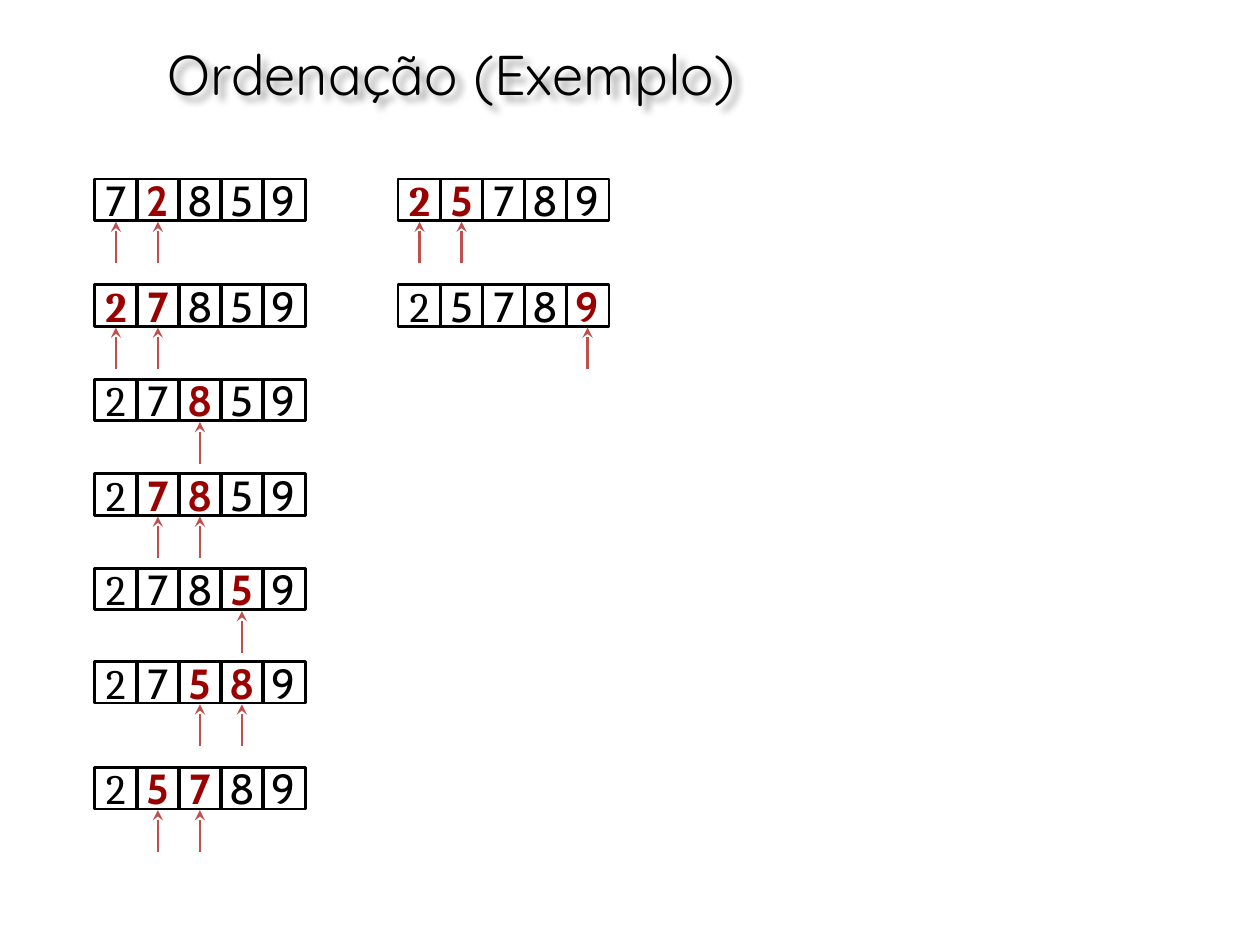
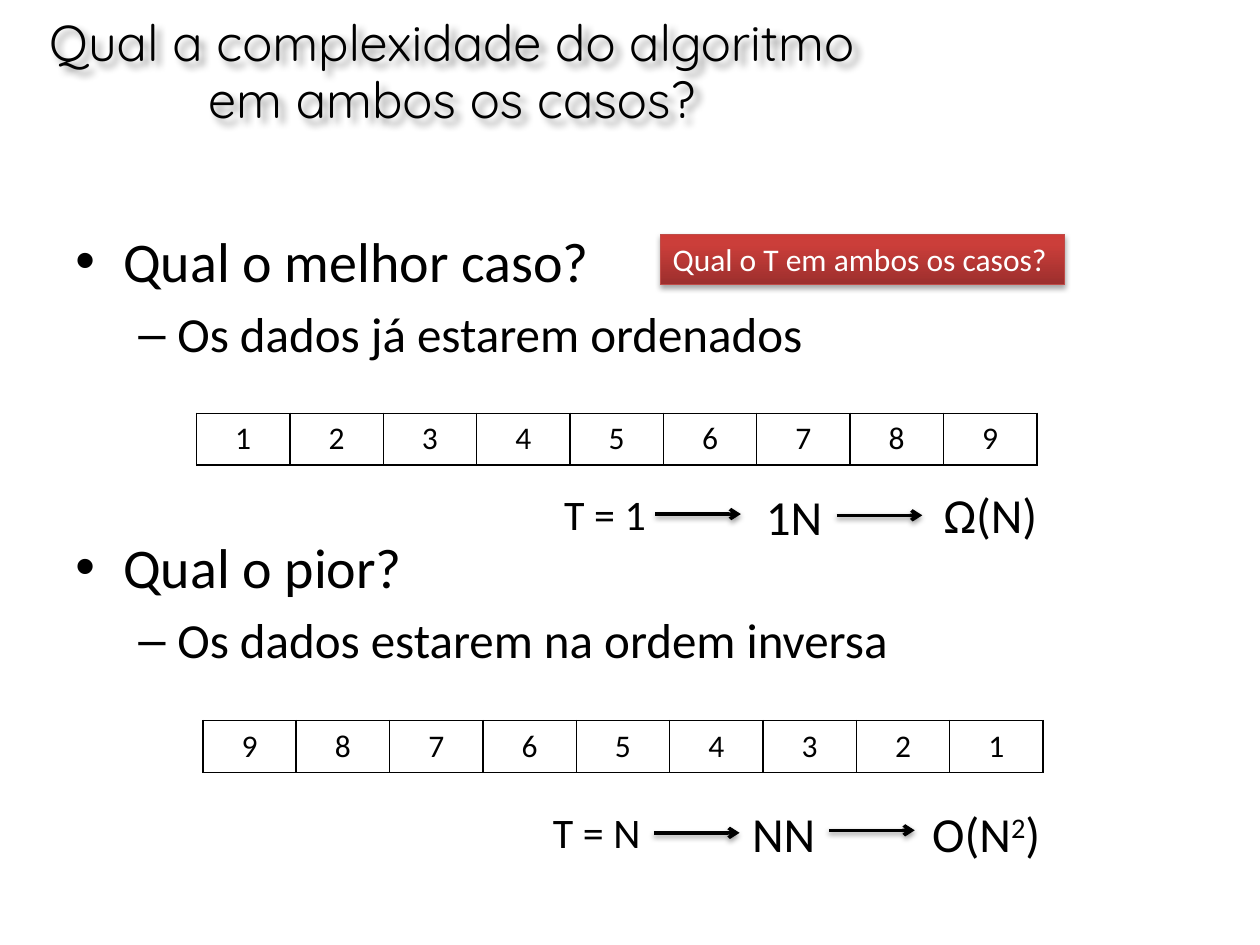
from dataclasses import dataclass

from lxml.etree import SubElement
from pptx import Presentation
from pptx.dml.color import RGBColor
from pptx.enum.shapes import MSO_CONNECTOR, MSO_SHAPE
from pptx.enum.text import MSO_ANCHOR, MSO_AUTO_SIZE, PP_ALIGN
from pptx.oxml.ns import qn
from pptx.util import Inches, Pt


@dataclass(frozen=True)
class Theme:
    ink: str = "000000"
    paper: str = "FFFFFF"
    highlight: str = "990000"
    pointer: str = "C0504D"
    callout_edge: str = "BF4C48"
    callout_stops: tuple = ((0, "9C2F2D"), (80, "CB3E3A"), (100, "CE3B37"))
    title_font: str = "Quicksand"
    body_font: str = "Calibri"
    cell_font: str = "Cabin"
    lead_font: str = "Cambria"
    title: float = 32
    long_title: float = 28.8
    bullet: float = 32
    sub_bullet: float = 28
    result: float = 28
    label: float = 24
    small: float = 18
    # Shadows: opacity %, blur pt, distance pt, direction in degrees
    title_shadow: tuple = (40, 4, 4, 45)
    arrow_shadow: tuple = (38, 3.1, 1.6, 90)
    callout_shadow: tuple = (35, 3.1, 1.8, 90)


def write(paragraph, text, *, size, font, color, bold=False, raised=False, align=None):
    """Add one formatted run to a paragraph."""
    run = paragraph.add_run()
    run.text = text
    run.font.size = Pt(size)
    run.font.name = font
    run.font.bold = bold
    run.font.color.rgb = RGBColor.from_string(color)
    if raised:
        run.font._element.set("baseline", "30000")
    if align is not None:
        paragraph.alignment = align


def add_color(parent, color):
    return SubElement(parent, qn("a:srgbClr"), val=color)


class Deck:
    """Holds the theme and the current slide."""

    def __init__(self, theme):
        self.theme = theme
        self.presentation = Presentation()
        self.presentation.slide_width = Inches(10)
        self.presentation.slide_height = Inches(7.5)
        self.slide = None

    def new_slide(self, title, size, line_spacing=1.0):
        blank = self.presentation.slide_layouts[6]
        self.slide = self.presentation.slides.add_slide(blank)
        box = self.box(0, 0.16, 7.17, 0.84, wrap=True)
        box.text_frame.vertical_anchor = MSO_ANCHOR.MIDDLE
        paragraph = box.text_frame.paragraphs[0]
        paragraph.line_spacing = line_spacing
        write(paragraph, title, size=size, font=self.theme.title_font,
              color=self.theme.ink, align=PP_ALIGN.CENTER)
        self.shadow(box, self.theme.title_shadow)

    def box(self, left, top, width, height, wrap=False):
        box = self.slide.shapes.add_textbox(
            Inches(left), Inches(top), Inches(width), Inches(height))
        box.text_frame.word_wrap = wrap
        return box

    def shadow(self, shape, style=None):
        """Replace the inherited shadow by the given one, or by none."""
        properties = shape._element.spPr
        effects = properties.find(qn("a:effectLst"))
        if effects is None:
            effects = SubElement(properties, qn("a:effectLst"))
        if style:
            opacity, blur, distance, direction = style
            outer = SubElement(
                effects, qn("a:outerShdw"), blurRad=str(Pt(blur)), dist=str(Pt(distance)),
                dir=str(direction * 60000), rotWithShape="0")
            SubElement(add_color(outer, self.theme.ink), qn("a:alpha"), val=str(opacity * 1000))

    def arrow(self, start, end, color, width, head, shadow=None):
        line = self.slide.shapes.add_connector(
            MSO_CONNECTOR.STRAIGHT, *(Inches(value) for value in (*start, *end)))
        line.line.color.rgb = RGBColor.from_string(color)
        line.line.width = Pt(width)
        SubElement(line.line._get_or_add_ln(), qn("a:tailEnd"), type=head)
        self.shadow(line, shadow)

    def array(self, left, top, digits, marked, pointed):
        """Draw one sorting step: grouped cells with arrows under some of them."""
        theme, pitch = self.theme, 1 / 3
        group = self.slide.shapes.add_group_shape()
        for index, digit in enumerate(digits):
            cell = group.shapes.add_shape(
                MSO_SHAPE.FLOWCHART_PROCESS, Inches(left + index * pitch),
                Inches(top), Inches(0.34), Inches(0.33))
            cell.shadow.inherit = False
            cell.fill.background()
            cell.line.color.rgb = RGBColor.from_string(theme.ink)
            cell.line.width = Pt(1.5)
            frame = cell.text_frame
            frame.word_wrap = False
            frame.vertical_anchor = MSO_ANCHOR.MIDDLE
            frame.margin_left = frame.margin_right = 0
            frame.margin_top = frame.margin_bottom = 0
            active = index in marked
            write(frame.paragraphs[0], digit, size=theme.label, bold=active,
                  font=theme.lead_font if index == 0 and digit == "2" else theme.cell_font,
                  color=theme.highlight if active else theme.ink, align=PP_ALIGN.CENTER)
        for index in pointed:
            center = left + index * pitch + 0.17
            self.arrow((center, top + 0.67), (center, top + 0.34),
                       theme.pointer, 1.25, "stealth")

    def bullets(self, left, top, width, height, items):
        """Items are (level, text, space before in points)."""
        theme = self.theme
        levels = ((0.38, -0.38, "•", theme.bullet), (0.81, -0.31, "–", theme.sub_bullet))
        frame = self.box(left, top, width, height, wrap=True).text_frame
        for number, (level, text, space) in enumerate(items):
            paragraph = frame.add_paragraph() if number else frame.paragraphs[0]
            margin, indent, mark, size = levels[level]
            paragraph.level = level
            paragraph.space_before = Pt(space)
            properties = paragraph._p.get_or_add_pPr()
            properties.set("marL", str(Inches(margin)))
            properties.set("indent", str(Inches(indent)))
            SubElement(properties, qn("a:buFont"), typeface="Arial")
            SubElement(properties, qn("a:buChar"), char=mark)
            write(paragraph, text, size=size, font=theme.body_font, color=theme.ink)

    def number_table(self, left, top, numbers):
        theme = self.theme
        table = self.slide.shapes.add_table(
            1, len(numbers), Inches(left), Inches(top), Inches(6.67), Inches(0.41)).table
        table.first_row = table.horz_banding = False
        for cell, number in zip(table.rows[0].cells, numbers):
            write(cell.text_frame.paragraphs[0], str(number), size=theme.small,
                  font=theme.body_font, color=theme.ink, align=PP_ALIGN.CENTER)
            properties = cell._tc.get_or_add_tcPr()
            for side in ("lnL", "lnR", "lnT", "lnB"):
                border = SubElement(properties, qn(f"a:{side}"), w=str(Pt(1)))
                add_color(SubElement(border, qn("a:solidFill")), theme.ink)
            cell.fill.background()

    def label(self, left, top, width, height, text, size, power="", ending=""):
        frame = self.box(left, top, width, height).text_frame
        frame.auto_size = MSO_AUTO_SIZE.SHAPE_TO_FIT_TEXT
        for part in filter(None, (text, power, ending)):
            write(frame.paragraphs[0], part, size=size, font=self.theme.body_font,
                  color=self.theme.ink, raised=part == power)

    def callout(self, left, top, width, height, text):
        theme = self.theme
        callout = self.slide.shapes.add_shape(
            MSO_SHAPE.RECTANGLE, Inches(left), Inches(top), Inches(width), Inches(height))
        callout.shadow.inherit = False
        callout.fill.gradient()
        callout.fill.gradient_angle = 90
        stops = callout._element.spPr.find(qn("a:gradFill")).find(qn("a:gsLst"))
        stops.clear()
        for position, color in theme.callout_stops:
            add_color(SubElement(stops, qn("a:gs"), pos=str(position * 1000)), color)
        callout.line.color.rgb = RGBColor.from_string(theme.callout_edge)
        callout.line.width = Pt(0.75)
        self.shadow(callout, theme.callout_shadow)
        frame = callout.text_frame
        frame.word_wrap = False
        frame.auto_size = MSO_AUTO_SIZE.SHAPE_TO_FIT_TEXT
        frame.vertical_anchor = MSO_ANCHOR.TOP
        write(frame.paragraphs[0], text, size=theme.small, font=theme.body_font,
              color=theme.paper, align=PP_ALIGN.LEFT)


def sorting_example(deck):
    deck.new_slide("Ordenação (Exemplo)", deck.theme.title)
    # Steps: left, top, digits, highlighted cells, cells with an arrow
    first_column, second_column = 0.75, 3.16
    steps = (
        (first_column, 1.42, "72859", (1,), (0, 1)),
        (first_column, 2.26, "27859", (0, 1), (0, 1)),
        (first_column, 3.01, "27859", (2,), (2,)),
        (first_column, 3.76, "27859", (1, 2), (1, 2)),
        (first_column, 4.51, "27859", (3,), (3,)),
        (first_column, 5.25, "27589", (2, 3), (2, 3)),
        (first_column, 6.09, "25789", (1, 2), (1, 2)),
        (second_column, 1.42, "25789", (0, 1), (0, 1)),
        (second_column, 2.26, "25789", (4,), (4,)),
    )
    for step in steps:
        deck.array(*step)


def complexity(deck):
    theme = deck.theme
    deck.new_slide("Qual a complexidade do algoritmo em ambos os casos?",
                   theme.long_title, line_spacing=0.95)
    # Questions, with room for the first table before the second one
    deck.bullets(0.5, 1.75, 9, 4.95, (
        (0, "Qual o melhor caso?", 6.4),
        (1, "Os dados já estarem ordenados", 5.6),
        (0, "Qual o pior?", 97.3),
        (1, "Os dados estarem na ordem inversa", 5.6),
    ))
    deck.callout(5.24, 1.86, 3.21, 0.4, "Qual o T em ambos os casos?")
    # Best and worst inputs
    deck.number_table(1.56, 3.28, range(1, 10))
    deck.number_table(1.61, 5.72, range(9, 0, -1))
    # Cost of the best case
    deck.label(4.38, 3.83, 0.86, 0.5, "T = 1", theme.label)
    deck.label(5.98, 3.81, 0.66, 0.57, "1N", theme.result)
    deck.label(7.39, 3.8, 1, 0.57, "Ω(N)", theme.result)
    # Cost of the worst case
    deck.label(4.29, 6.35, 0.9, 0.5, "T = N", theme.label)
    deck.label(5.87, 6.33, 0.71, 0.57, "NN", theme.result)
    deck.label(7.3, 6.33, 1.09, 0.57, "O(N", theme.result, power="2", ending=")")
    # Arrows between the steps of each cost
    for left, height in ((5.2, 4.08), (6.64, 4.09), (5.19, 6.61), (6.58, 6.59)):
        deck.arrow((left, height), (left + 0.68, height), theme.ink, 2, "arrow",
                   theme.arrow_shadow)


def main():
    deck = Deck(Theme())
    sorting_example(deck)
    complexity(deck)
    deck.presentation.save("out.pptx")


if __name__ == "__main__":
    main()
